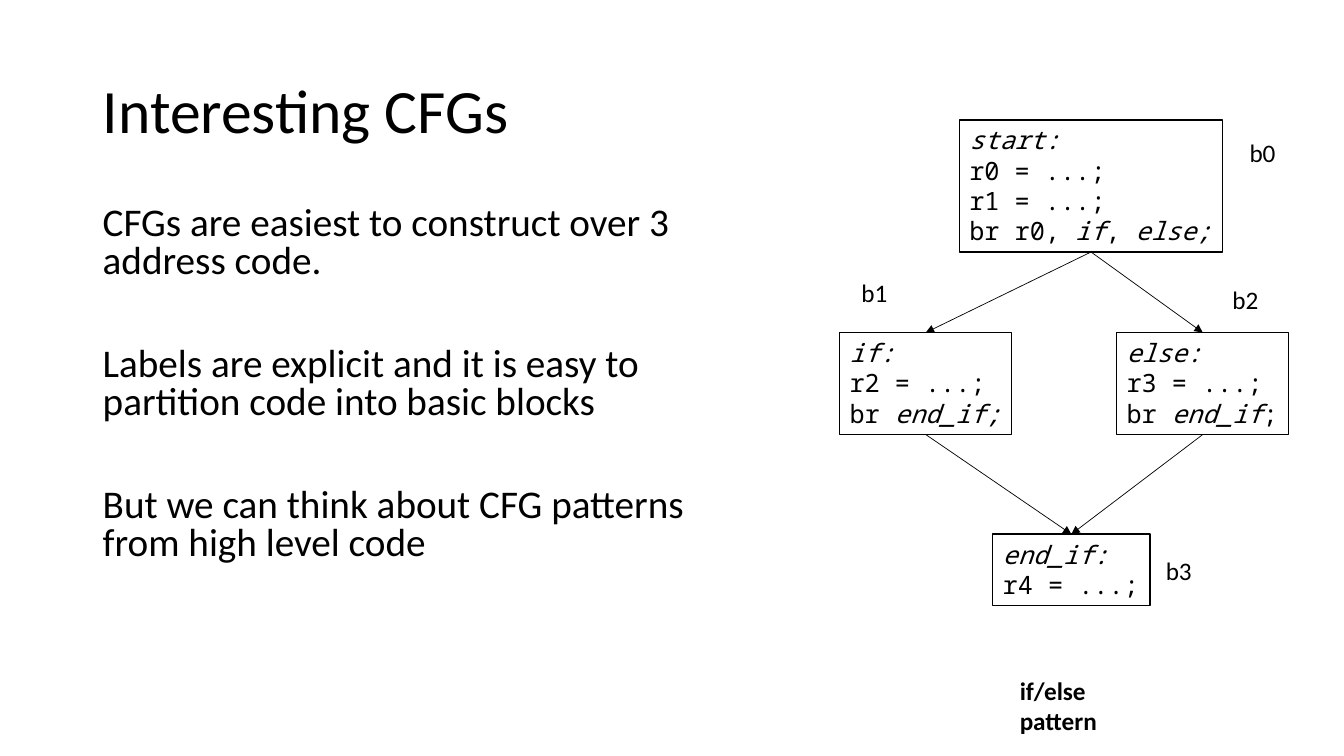
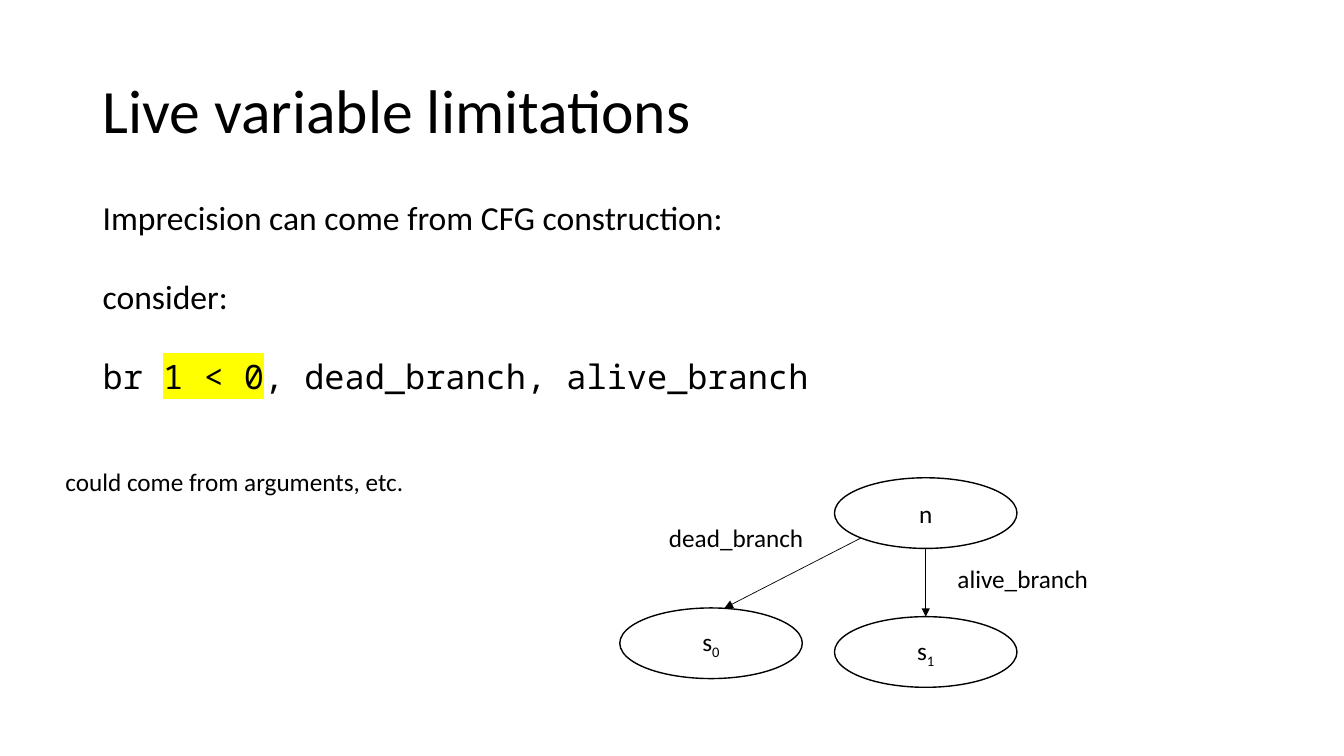
from dataclasses import dataclass
from typing import Optional, Sequence, Union

from lxml.etree import SubElement
from pptx import Presentation
from pptx.dml.color import RGBColor
from pptx.enum.shapes import MSO_CONNECTOR, MSO_SHAPE
from pptx.enum.text import MSO_ANCHOR, MSO_AUTO_SIZE, PP_ALIGN
from pptx.oxml.ns import qn
from pptx.util import Cm, Pt


@dataclass(frozen=True)
class Theme:
    ink: RGBColor = RGBColor(0, 0, 0)
    paper: RGBColor = RGBColor(255, 255, 255)
    marker: str = "FFFF00"
    sans: str = "Calibri"
    mono: str = "Noto Sans Mono"
    title_size: int = 44
    body_size: int = 28
    detail_size: int = 24
    small_size: int = 18
    outline: float = 1
    arrow: float = 0.5


@dataclass(frozen=True)
class Area:
    left: float
    top: float
    width: float
    height: float

    def lengths(self) -> tuple:
        return Cm(self.left), Cm(self.top), Cm(self.width), Cm(self.height)


@dataclass(frozen=True)
class Span:
    text: str
    italic: bool = False
    mono: bool = False
    marked: bool = False
    subscript: bool = False


@dataclass(frozen=True)
class Node:
    name: str
    area: Area
    lines: tuple


@dataclass(frozen=True)
class Label:
    text: str
    left: float
    top: float
    width: float = 1.17


Line = Union[str, Sequence[Span]]

THEME = Theme()
TITLE_AREA = Area(2.34, 1.02, 29.21, 3.68)
LABEL_HEIGHT = 1.02
BRANCH_TOP, BRANCH_WIDTH, BRANCH_HEIGHT = 8.38, 4.34, 2.57
STATE_WIDTH, STATE_HEIGHT = 4.6, 1.78

BLOCKS = (
    Node("start", Area(24.18, 3.02, 6.63, 3.33), (
        [Span("start:", italic=True)],
        "r0 = ...;",
        "r1 = ...;",
        [Span("br r0, "), Span("if", italic=True), Span(", "), Span("else;", italic=True)],
    )),
    Node("if", Area(21.16, BRANCH_TOP, BRANCH_WIDTH, BRANCH_HEIGHT), (
        [Span("if:", italic=True)],
        "r2 = ...;",
        [Span("br "), Span("end_if;", italic=True)],
    )),
    Node("else", Area(28.14, BRANCH_TOP, BRANCH_WIDTH, BRANCH_HEIGHT), (
        [Span("else:", italic=True)],
        "r3 = ...;",
        [Span("br "), Span("end_if", italic=True), Span(";")],
    )),
    Node("end_if", Area(25.02, 13.46, 3.96, 1.8), (
        [Span("end_if:", italic=True)],
        "r4 = ...;",
    )),
)
BLOCK_EDGES = (("start", "if"), ("start", "else"), ("if", "end_if"), ("else", "end_if"))
BLOCK_LABELS = (
    Label("b0", 31.24, 3.33),
    Label("b1", 21.46, 6.86),
    Label("b2", 30.81, 7.04),
    Label("b3", 29.13, 13.87),
)

STATES = (
    Node("n", Area(21.03, 12.04, STATE_WIDTH, STATE_HEIGHT), ("n",)),
    Node("s0", Area(15.62, 15.32, STATE_WIDTH, STATE_HEIGHT),
         ([Span("s"), Span("0", subscript=True)],)),
    Node("s1", Area(21.03, 15.54, STATE_WIDTH, STATE_HEIGHT),
         ([Span("s"), Span("1", subscript=True)],)),
)
STATE_EDGES = ((21.69, 13.56, 18.26, 15.32), (23.33, 13.82, 23.33, 15.54))
STATE_LABELS = (
    Label("could come from arguments, etc.", 1.4, 11.63, 9.12),
    Label("dead_branch", 16.61, 13.03, 3.94),
    Label("alive_branch", 23.88, 14.07, 3.84),
)


def write_text(box, lines: Sequence[Line], *, size: float = THEME.small_size,
               font: str = THEME.sans, bold: bool = False, wrap: bool = True,
               grow: bool = False, anchor=MSO_ANCHOR.TOP, align=PP_ALIGN.LEFT,
               line_spacing: Optional[float] = None, space_after: float = 0) -> None:
    frame = box.text_frame
    frame.word_wrap = wrap
    frame.auto_size = MSO_AUTO_SIZE.SHAPE_TO_FIT_TEXT if grow else MSO_AUTO_SIZE.NONE
    frame.vertical_anchor = anchor
    for index, line in enumerate(lines):
        para = frame.add_paragraph() if index else frame.paragraphs[0]
        para.alignment = align
        para.line_spacing = line_spacing
        para.space_after = Pt(space_after)
        for span in [Span(line)] if isinstance(line, str) else line:
            run = para.add_run()
            run.text = span.text
            run.font.size = Pt(size)
            run.font.bold = bold
            run.font.italic = span.italic
            run.font.color.rgb = THEME.ink
            properties = run._r.get_or_add_rPr()
            if span.marked:
                highlight = SubElement(properties, qn("a:highlight"))
                SubElement(highlight, qn("a:srgbClr")).set("val", THEME.marker)
            if span.subscript:
                properties.set("baseline", "-25000")
            run.font.name = THEME.mono if span.mono else font


def add_text(page, area: Area, lines: Sequence[Line], **text_format) -> None:
    write_text(page.shapes.add_textbox(*area.lengths()), lines, **text_format)


def add_labels(page, labels: Sequence[Label]) -> None:
    for label in labels:
        area = Area(label.left, label.top, label.width, LABEL_HEIGHT)
        add_text(page, area, [label.text], wrap=False, grow=True)


def add_node(page, node: Node, outline, **text_format):
    shape = page.shapes.add_shape(outline, *node.area.lengths())
    shape.shadow.inherit = False
    shape.fill.solid()
    shape.fill.fore_color.rgb = THEME.paper
    shape.line.color.rgb = THEME.ink
    shape.line.width = Pt(THEME.outline)
    write_text(shape, node.lines, **text_format)
    return shape


def add_arrow(page, left: float = 0, top: float = 0, right: float = 0, bottom: float = 0):
    arrow = page.shapes.add_connector(
        MSO_CONNECTOR.STRAIGHT, Cm(left), Cm(top), Cm(right), Cm(bottom))
    arrow.line.color.rgb = THEME.ink
    arrow.line.width = Pt(THEME.arrow)
    SubElement(arrow.line._get_or_add_ln(), qn("a:tailEnd")).set("type", "triangle")
    SubElement(arrow._element.spPr, qn("a:effectLst"))
    return arrow


def add_page(deck, title: str):
    page = deck.slides.add_slide(deck.slide_layouts[6])
    page.background.fill.solid()
    page.background.fill.fore_color.rgb = THEME.paper
    add_text(page, TITLE_AREA, [title], size=THEME.title_size,
             anchor=MSO_ANCHOR.MIDDLE, line_spacing=0.9)
    return page


def build_patterns_page(deck) -> None:
    page = add_page(deck, "Interesting CFGs")
    add_text(page, Area(2.34, 5.08, 15.93, 10.19), [
        "CFGs are easiest to construct over 3 address code.",
        "Labels are explicit and it is easy to partition code into basic blocks",
        "But we can think about CFG patterns from high level code",
    ], size=THEME.body_size, line_spacing=0.8, space_after=47)
    blocks = {
        node.name: add_node(page, node, MSO_SHAPE.RECTANGLE, font=THEME.mono,
                            wrap=False, grow=True)
        for node in BLOCKS
    }
    for source, target in BLOCK_EDGES:
        arrow = add_arrow(page)
        arrow.begin_connect(blocks[source], 2)
        arrow.end_connect(blocks[target], 0)
    add_labels(page, BLOCK_LABELS)
    add_text(page, Area(25.45, 16.89, 2.82, 1.8), ["if/else pattern"], bold=True, grow=True)


def build_limitations_page(deck) -> None:
    page = add_page(deck, "Live variable limitations")
    add_text(page, Area(2.34, 4.83, 30.38, 5.38), [
        "Imprecision can come from CFG construction:",
        "consider:",
        [Span("br ", mono=True), Span("1 < 0", mono=True, marked=True),
         Span(", dead_branch, alive_branch", mono=True)],
    ], size=THEME.detail_size, space_after=28)
    for node in STATES:
        add_node(page, node, MSO_SHAPE.OVAL, anchor=MSO_ANCHOR.MIDDLE, align=PP_ALIGN.CENTER)
    for edge in STATE_EDGES:
        add_arrow(page, *edge)
    add_labels(page, STATE_LABELS)


def main() -> None:
    deck = Presentation()
    deck.slide_width, deck.slide_height = Cm(33.87), Cm(19.05)
    build_patterns_page(deck)
    build_limitations_page(deck)
    deck.save("out.pptx")


if __name__ == "__main__":
    main()
